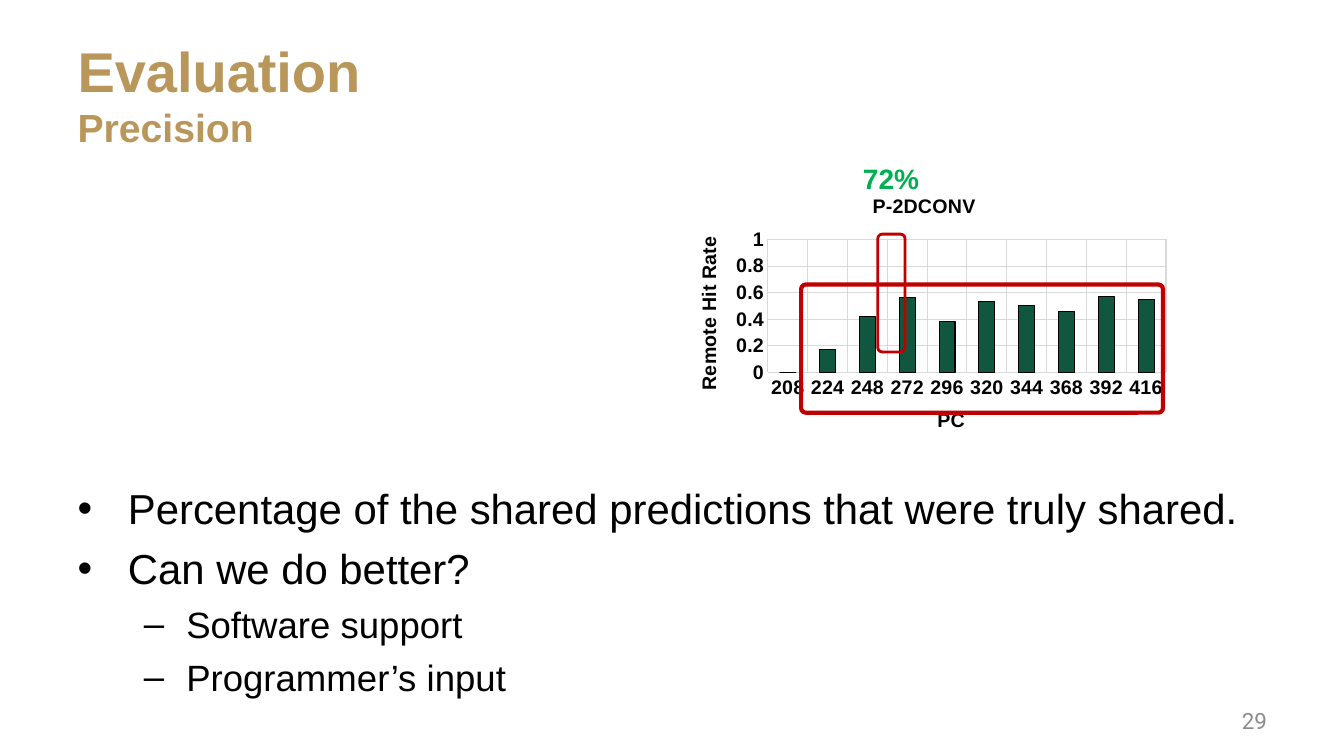
from lxml import etree
from pptx import Presentation
from pptx.chart.data import CategoryChartData
from pptx.dml.color import RGBColor
from pptx.enum.chart import XL_CHART_TYPE as ChartType, XL_TICK_MARK as TickMark
from pptx.enum.shapes import MSO_SHAPE as Shape
from pptx.enum.text import MSO_ANCHOR as Anchor, MSO_AUTO_SIZE as AutoSize, PP_ALIGN as Align
from pptx.oxml.ns import qn
from pptx.util import Cm, Pt

BLACK, GOLD, RED, GREEN = "000000", "B9975B", "C00000", "00B050"
GRAY, GRID, BAR = "8C8C8C", "D9D9D9", "115740"
HIT_RATES = {"208": 0, "224": 0.17, "248": 0.42, "272": 0.56, "296": 0.38,
             "320": 0.53, "344": 0.5, "368": 0.46, "392": 0.57, "416": 0.55}
POINTS = [
    (0, "Percentage of the shared predictions that were truly shared."),
    (0, "Can we do better?"),
    (1, "Software support"),
    (1, "Programmer’s input"),
]
# Per level: font size, left margin and hanging indent in cm, space before in points
LEVELS = [(29.9, 1.27, 1.27, 7), (26.1, 2.74, 1.07, 6.5)]
CHART_FONT = {"size": Pt(14), "bold": True, "name": "Arial"}


def rgb(color):
    return RGBColor.from_string(color)


def apply(target, values):
    for name, value in values.items():
        setattr(target, name, value)


def style_font(font, color, **values):
    apply(font, {"name": "Arial", **values})
    font.color.rgb = rgb(color)


def style_line(line, color, width):
    line.color.rgb = rgb(color)
    line.width = Pt(width)


def place(shape, box):
    apply(shape, dict(zip(("left", "top", "width", "height"), map(Cm, box))))


def add_title(slide, box):
    title = slide.shapes.title
    place(title, box)
    apply(title.text_frame, {"auto_size": AutoSize.NONE, "vertical_anchor": Anchor.MIDDLE})
    heading = title.text_frame.paragraphs[0]
    heading.alignment = Align.LEFT
    for text, size in (("Evaluation", 40), ("Precision", 28)):
        if heading.runs:
            heading.add_line_break()
        run = heading.add_run()
        run.text = text
        style_font(run.font, GOLD, size=Pt(size), bold=True)


def add_points(slide, box):
    body = slide.placeholders[1]
    place(body, box)
    frame = body.text_frame
    apply(frame, {"auto_size": AutoSize.NONE, "vertical_anchor": Anchor.TOP})
    for index, (level, text) in enumerate(POINTS):
        point = frame.add_paragraph() if index else frame.paragraphs[0]
        size, margin, hanging, gap = LEVELS[level]
        apply(point, {"text": text, "level": level, "space_before": Pt(gap)})
        style_font(point.runs[0].font, BLACK, size=Pt(size))
        properties = point._p.get_or_add_pPr()
        properties.set("marL", str(Cm(margin)))
        properties.set("indent", str(-Cm(hanging)))


def add_label(slide, box, text, color, align, **font):
    label = slide.shapes.add_textbox(*map(Cm, box))
    apply(label.text_frame, {"word_wrap": True, "vertical_anchor": Anchor.MIDDLE})
    paragraph = label.text_frame.paragraphs[0]
    apply(paragraph, {"text": text, "alignment": align})
    style_font(paragraph.runs[0].font, color, **font)


def add_frame(slide, box, width, rounding=0.17):
    frame = slide.shapes.add_shape(Shape.ROUNDED_RECTANGLE, *map(Cm, box))
    frame.adjustments[0] = rounding
    frame.shadow.inherit = False
    frame.fill.background()
    style_line(frame.line, RED, width)


def set_chart_title(holder, text):
    holder.text_frame.text = text
    style_font(holder.text_frame.paragraphs[0].runs[0].font, BLACK, **CHART_FONT)


def fix_plot_area(chart, **fractions):
    """Pin the inner plot area to fractions of the chart's size."""
    plot_area = chart.element.xpath("c:chart/c:plotArea")[0]
    for old in plot_area.findall(qn("c:layout")):
        plot_area.remove(old)
    layout = etree.Element(qn("c:layout"))
    manual = etree.SubElement(layout, qn("c:manualLayout"))
    settings = {"layoutTarget": "inner", "xMode": "edge", "yMode": "edge", **fractions}
    for name, value in settings.items():
        etree.SubElement(manual, qn(f"c:{name}")).set("val", str(value))
    plot_area.insert(0, layout)


def add_hit_rate_chart(slide, box):
    data = CategoryChartData()
    data.categories = list(HIT_RATES)
    data.add_series("P-2DCONV", list(HIT_RATES.values()))
    chart = slide.shapes.add_chart(ChartType.COLUMN_CLUSTERED, *map(Cm, box), data).chart
    apply(chart, {"has_legend": False, "has_title": True})
    style_font(chart.font, BLACK, **CHART_FONT)
    set_chart_title(chart.chart_title, "P-2DCONV")

    apply(chart.plots[0], {"gap_width": 150, "vary_by_categories": False})
    bars = chart.plots[0].series[0].format
    bars.fill.solid()
    bars.fill.fore_color.rgb = rgb(BAR)
    style_line(bars.line, BLACK, 0.75)

    apply(chart.value_axis, {"minimum_scale": 0, "maximum_scale": 1, "major_unit": 0.2})
    for axis, name in ((chart.category_axis, "PC"), (chart.value_axis, "Remote Hit Rate")):
        apply(axis, {"has_title": True, "has_major_gridlines": True,
                     "major_tick_mark": TickMark.NONE, "minor_tick_mark": TickMark.NONE})
        set_chart_title(axis.axis_title, name)
        style_font(axis.tick_labels.font, BLACK, **CHART_FONT)
        style_line(axis.major_gridlines.format.line, GRID, 0.75)
        axis.format.line.fill.background()
    fix_plot_area(chart, x=0.19, y=0.22, w=0.79, h=0.48)


def add_precision_panel(slide, box):
    """Chart with its two highlight frames and the precision figure above it."""
    left, top = box[:2]
    add_hit_rate_chart(slide, box)
    add_frame(slide, (left + 3.25, top + 2.67, 9.12, 3.23), 3, rounding=0.036)
    add_label(slide, (left + 4.5, top - 0.38, 2.03, 0.74), "72%", GREEN, Align.CENTER,
              size=Pt(20), bold=True)
    add_frame(slide, (left + 5.18, top + 1.4, 0.69, 2.97), 2)


def main():
    deck = Presentation()
    apply(deck, {"slide_width": Cm(33.87), "slide_height": Cm(19.05)})
    slide = deck.slides.add_slide(deck.slide_layouts[1])
    add_title(slide, (1.7, 0.76, 30.48, 3.18))
    add_points(slide, (1.7, 12.04, 30.48, 4.98))
    add_precision_panel(slide, (16.94, 4.5, 12.7, 6.98))
    add_label(slide, (24.28, 17.65, 7.9, 1.02), "29", GRAY, Align.RIGHT,
              size=Pt(16), name="Roboto")
    deck.save("out.pptx")


if __name__ == "__main__":
    main()
